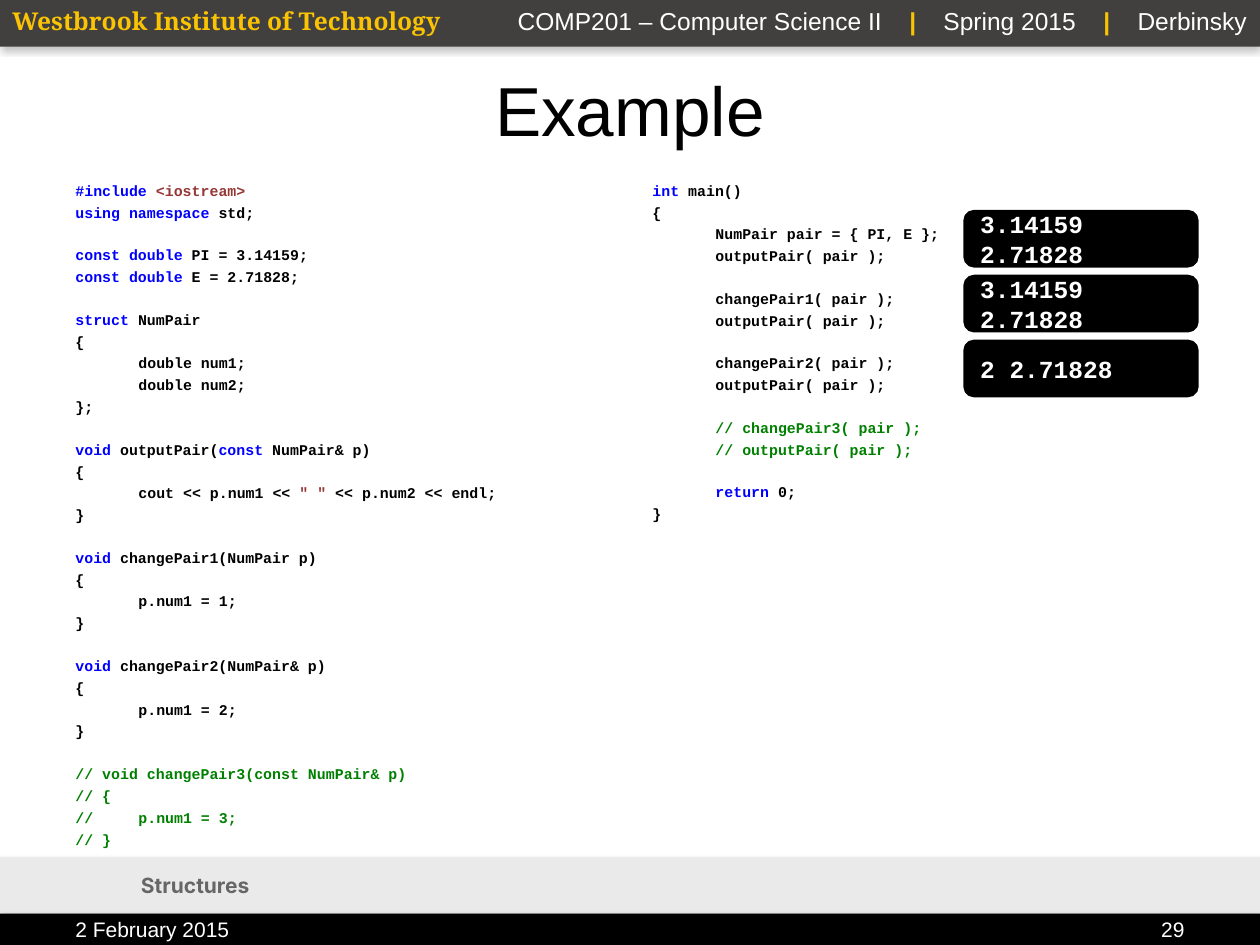
import pptx
import pptx.dml.color
import pptx.enum.shapes
import pptx.enum.text
import pptx.oxml
import pptx.oxml.ns
import pptx.util

COLS, ROWS = 100, 75  # grid of tenth-inch cells
COLORS = {"black": "000000", "white": "FFFFFF", "blue": "0000FF", "red": "953735",
          "green": "008000", "gold": "FAC303", "slate": "42403E", "pale": "EAEAEA",
          "gray": "666666"}
# "^x" in a line switches the colour of the text after it
MARKS = {"k": "black", "w": "white", "b": "blue", "r": "red", "g": "green", "y": "gold"}

DEFINITIONS = """^b#include ^r<iostream>
^busing namespace ^kstd;

^bconst double ^kPI = 3.14159;
^bconst double ^kE = 2.71828;

^bstruct ^kNumPair
{
\tdouble num1;
\tdouble num2;
};

^bvoid ^koutputPair(^bconst ^kNumPair& p)
{
\tcout << p.num1 << ^r" "^k << p.num2 << endl;
}

^bvoid^k changePair1(NumPair p)
{
\tp.num1 = 1;
}

^bvoid^k changePair2(NumPair& p)
{
\tp.num1 = 2;
}

^g// void changePair3(const NumPair& p)
^g// {
^g//\tp.num1 = 3;
^g// }"""
MAIN = """^bint ^kmain()
{
\tNumPair pair = { PI, E };
\toutputPair( pair );

\tchangePair1( pair );
\toutputPair( pair );

\tchangePair2( pair );
\toutputPair( pair );

\t^g// changePair3( pair );
\t^g// outputPair( pair );

\t^breturn^k 0;
}"""

prs = pptx.Presentation()
prs.slide_width, prs.slide_height = pptx.util.Inches(10), pptx.util.Inches(7.5)
CELL = prs.slide_width / COLS


def place(box):
    """Turn a (col, row, cols, rows) box into slide lengths."""
    return [round(v * CELL) for v in box]


def rgb(name):
    """Look up a named colour."""
    return pptx.dml.color.RGBColor.from_string(COLORS[name])


def write(tf, text, font="Arial", size=12, color="white", bold=False, align="LEFT",
          anchor="MIDDLE", before=0, skip=0, tabs=()):
    """Fill a frame with marked-up lines; an empty line adds skip points of space."""
    tf.word_wrap = True
    tf.vertical_anchor = pptx.enum.text.MSO_ANCHOR[anchor]
    extra, p = 0, None
    for line in text.split("\n"):
        if not line:
            extra = skip
            continue
        p = tf.add_paragraph() if p is not None else tf.paragraphs[0]
        p.alignment = pptx.enum.text.PP_ALIGN[align]
        p.space_before, extra = pptx.util.Pt(before + extra), 0
        if tabs:
            stops = pptx.oxml.ns.qn("a:tabLst")
            tab_list = p._p.get_or_add_pPr().makeelement(stops, {})
            p._p.get_or_add_pPr().append(tab_list)
            for stop in tabs:
                tab = tab_list.makeelement(pptx.oxml.ns.qn("a:tab"),
                                           {"pos": str(round(stop * CELL)), "algn": "l"})
                tab_list.append(tab)
        first, *marked = line.split("^")
        parts = [(color, first)] + [(MARKS[m[0]], m[1:]) for m in marked]
        for name, words in parts:
            if words:
                r = p.add_run()
                r.text = words
                r.font.name, r.font.size = font, pptx.util.Pt(size)
                r.font.bold = bold or name == "gold"
                r.font.color.rgb = rgb(name)


def label(s, box, text, **fmt):
    """Add a text box and return its frame."""
    tf = s.shapes.add_textbox(*place(box)).text_frame
    write(tf, text, **fmt)
    return tf


def bar(s, box, color):
    """Add a full-width band with a soft shadow below it."""
    sp = s.shapes.add_shape(pptx.enum.shapes.MSO_SHAPE.RECTANGLE, *place(box))
    sp.fill.solid()
    sp.fill.fore_color.rgb = rgb(color)
    sp.line.fill.background()
    sp._element.spPr.append(pptx.oxml.parse_xml(
        f'<a:effectLst {pptx.oxml.ns.nsdecls("a")}><a:outerShdw blurRad="50800" '
        f'dist="25400" dir="5400000" rotWithShape="0"><a:srgbClr val="{COLORS["gray"]}">'
        '<a:alpha val="40000"/></a:srgbClr></a:outerShdw></a:effectLst>'))


def header(s, box):
    """Top band: school on the left, course details on the right."""
    x, y, w, h = box
    split = 37.6
    bar(s, box, "slate")
    label(s, (x, y, split, h), "Westbrook Institute of Technology", font="Noto Serif",
          size=14, color="gold", bold=True, anchor="TOP")
    tf = label(s, (x + split, y, w - split, h),
               "\tCOMP201 – Computer Science II\t^y|^w\tSpring 2015\t^y|^w\tDerbinsky",
               size=14, anchor="TOP", tabs=(2.5, 33.6, 36.3, 49, 51.7))
    tf.margin_right = 0


def footer(s, box):
    """Bottom bands: topic above, date and page number below."""
    x, y, w, h = box
    topic, low = 4.5, y + 4.5
    bar(s, (x, y, w, topic), "pale")
    bar(s, (x, low, w, h - topic), "black")
    label(s, (x + 5, low, 25, h - topic), "2 February 2015")
    label(s, (x + 10.2, y + 0.6, w - 15.2, 3.3), "Structures", font="Inter",
          color="gray", bold=True)
    label(s, (x + w - 17, low, 12, h - topic), "29", align="RIGHT")


def title(s, box, text):
    """Place and format the title placeholder."""
    sp = s.shapes.title
    sp.left, sp.top, sp.width, sp.height = place(box)
    write(sp.text_frame, text, size=39.6, color="black", align="CENTER")


def code(s, box, columns):
    """Lay code listings side by side in equal columns."""
    x, y, w, h = box
    gap = 1.6
    col = (w - gap * (len(columns) - 1)) / len(columns)
    for i, text in enumerate(columns):
        label(s, (x + i * (col + gap), y, col, h), text, font="Courier New", size=8.5,
              color="black", bold=True, anchor="TOP", before=2.27, skip=11.9, tabs=(5,))


def outputs(s, box, results):
    """Stack console results at an even pitch."""
    x, y, w, h = box
    gap = 0.85
    tall = (h - gap * (len(results) - 1)) / len(results)
    for i, text in enumerate(results):
        sp = s.shapes.add_shape(pptx.enum.shapes.MSO_SHAPE.ROUNDED_RECTANGLE,
                                *place((x, y + i * (tall + gap), w, tall)))
        sp.shadow.inherit = False
        sp.fill.solid()
        sp.fill.fore_color.rgb = sp.line.color.rgb = rgb("black")
        sp.line.width = pptx.util.Pt(2)
        write(sp.text_frame, text, font="Courier New", size=14, bold=True)


s = prs.slides.add_slide(prs.slide_layouts[5])
footer(s, (0, 68, COLS, 7))
header(s, (0, 0, COLS, 3.7))
title(s, (5, 5.3, 90, 6.6), "Example")
code(s, (5, 13.9, 90, 53.1), [DEFINITIONS, MAIN])
outputs(s, (76.6, 16.8, 18.4, 14.6), ["3.14159 2.71828", "3.14159 2.71828", "2 2.71828"])
prs.save("out.pptx")
